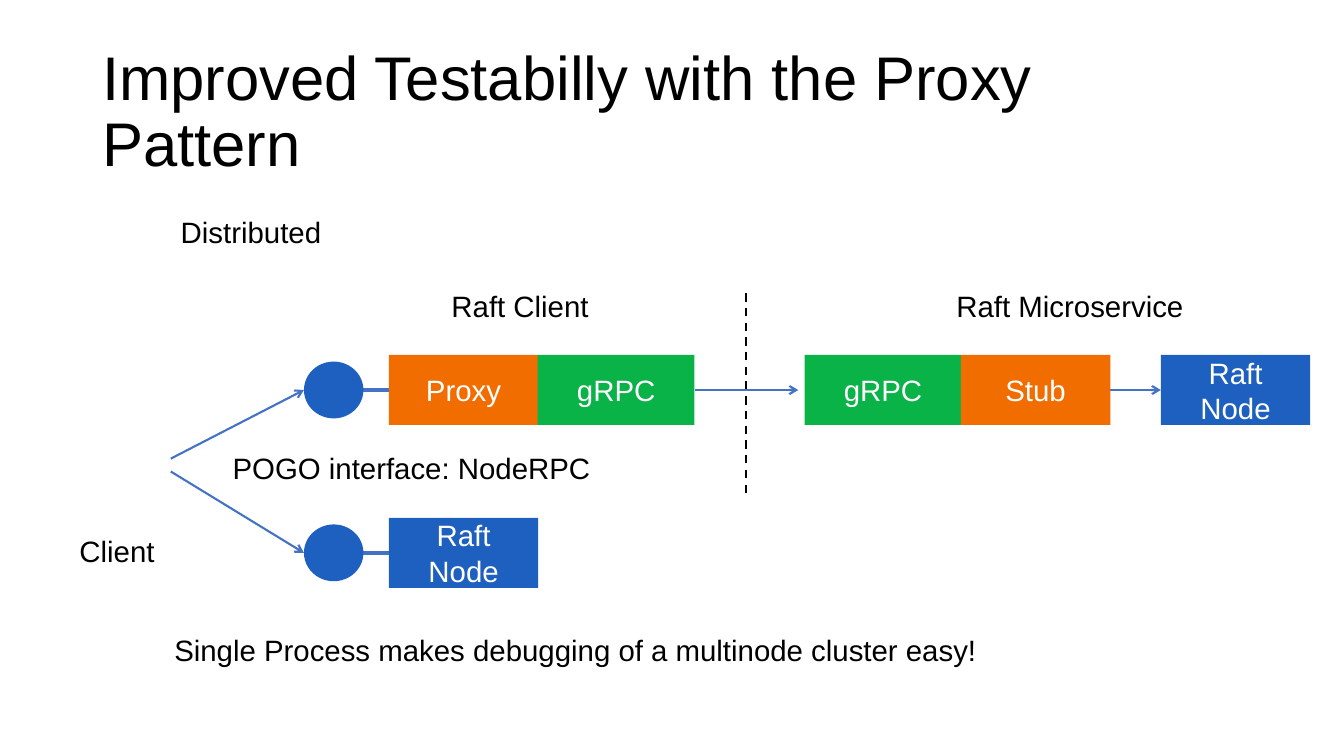
import pptx
import pptx.dml.color
import pptx.enum.dml
import pptx.enum.shapes
import pptx.enum.text
import pptx.oxml.ns
import pptx.oxml.xmlchemy
import pptx.util

Pt = pptx.util.Pt
SHAPE = pptx.enum.shapes.MSO_SHAPE
ANCHOR = pptx.enum.text.MSO_ANCHOR
ALIGN = pptx.enum.text.PP_ALIGN
THEME = {
    "font": "Arial", "title": 44, "body": 21,
    "black": "000000", "white": "FFFFFF", "line": "4472C4",
    "blue": "1D60BF", "green": "09B347", "orange": "F26D00",
}


def rgb(name):
    return pptx.dml.color.RGBColor.from_string(THEME[name])


def write(sp, text, size="body", color="black", align=ALIGN.LEFT,
          anchor=ANCHOR.TOP, spacing=1.0):
    tf = sp.text_frame
    tf.word_wrap = True
    tf.vertical_anchor = anchor
    p = tf.paragraphs[0]
    p.alignment = align
    p.line_spacing = spacing
    r = p.add_run()
    r.text = text
    r.font.name = THEME["font"]
    r.font.size = Pt(THEME[size])
    r.font.color.rgb = rgb(color)


prs = pptx.Presentation()
prs.slide_width, prs.slide_height = Pt(960), Pt(540)
s = prs.slides.add_slide(prs.slide_layouts[6])

# Title
sp = s.shapes.add_textbox(Pt(66), Pt(28.75), Pt(828), Pt(104.4))
write(sp, "Improved Testabilly with the Proxy Pattern", size="title",
      anchor=ANCHOR.MIDDLE, spacing=0.9)

# Rows are placed by their centre lines
remote_y, local_y = 278.6, 394.9
box_h, node_w, grpc_w = 50, 106.7, 112
proxy_x, grpc_x, server_x, stub_x, node_x = 277.8, 384.1, 574.7, 686.4, 829.2
circle_x, circle_w, circle_h = 217.1, 42.5, 40.6

# Lines: start, end, colour, width, style
lines = [
    (532.8, 352.1, 532.8, 209.2, "black", 1.5, "dash"),
    (122, 327.6, circle_x, remote_y, "line", 1.5, "arrow"),
    (122, 336.8, circle_x, local_y, "line", 1.5, "arrow"),
    (grpc_x + grpc_w, remote_y, 570.2, remote_y, "line", 1.5, "arrow"),
    (stub_x + node_w, remote_y, node_x, remote_y, "line", 1.5, "arrow"),
]
for y in (remote_y, local_y):
    lines.append((circle_x + circle_w, y, proxy_x, y, "line", 3, "plain"))
for x1, y1, x2, y2, color, width, style in lines:
    line = s.shapes.add_connector(pptx.enum.shapes.MSO_CONNECTOR.STRAIGHT,
                                  Pt(x1), Pt(y1), Pt(x2), Pt(y2))
    line.line.color.rgb = rgb(color)
    line.line.width = Pt(width)
    props = line._element.spPr
    if style == "dash":
        line.line.dash_style = pptx.enum.dml.MSO_LINE.DASH
    if style == "arrow":
        tail = pptx.oxml.xmlchemy.OxmlElement("a:tailEnd")
        tail.set("type", "arrow")
        props.find(pptx.oxml.ns.qn("a:ln")).append(tail)
    props.append(pptx.oxml.xmlchemy.OxmlElement("a:effectLst"))

# Interface circles and component boxes
shapes = [
    (SHAPE.RECTANGLE, proxy_x, remote_y, node_w, box_h, "orange", "Proxy"),
    (SHAPE.RECTANGLE, grpc_x, remote_y, grpc_w, box_h, "green", "gRPC"),
    (SHAPE.RECTANGLE, server_x, remote_y, grpc_w, box_h, "green", "gRPC"),
    (SHAPE.RECTANGLE, stub_x, remote_y, node_w, box_h, "orange", "Stub"),
    (SHAPE.RECTANGLE, node_x, remote_y, node_w, box_h, "blue", "Raft Node"),
    (SHAPE.RECTANGLE, proxy_x, local_y, node_w, box_h, "blue", "Raft Node"),
]
for y in (remote_y, local_y):
    shapes.append((SHAPE.OVAL, circle_x, y, circle_w, circle_h, "blue", ""))
for kind, x, y, w, h, color, text in shapes:
    sp = s.shapes.add_shape(kind, Pt(x), Pt(y - h / 2), Pt(w), Pt(h))
    sp.shadow.inherit = False
    sp.fill.solid()
    sp.fill.fore_color.rgb = rgb(color)
    sp.line.fill.background()
    if text:
        write(sp, text, color="white", align=ALIGN.CENTER,
              anchor=ANCHOR.MIDDLE)

# Labels
for x, y, w, text in [
    (122, 149.2, 200, "Distributed"),
    (315.4, 202.6, 200, "Raft Client"),
    (676.1, 202.2, 200, "Raft Microservice"),
    (159.1, 318.3, 277, "POGO interface: NodeRPC"),
    (49.7, 377.4, 200, "Client"),
    (117.4, 448, 712, "Single Process makes debugging of a multinode cluster easy!"),
]:
    sp = s.shapes.add_textbox(Pt(x), Pt(y), Pt(w), Pt(32.4))
    write(sp, text)

prs.save("out.pptx")
